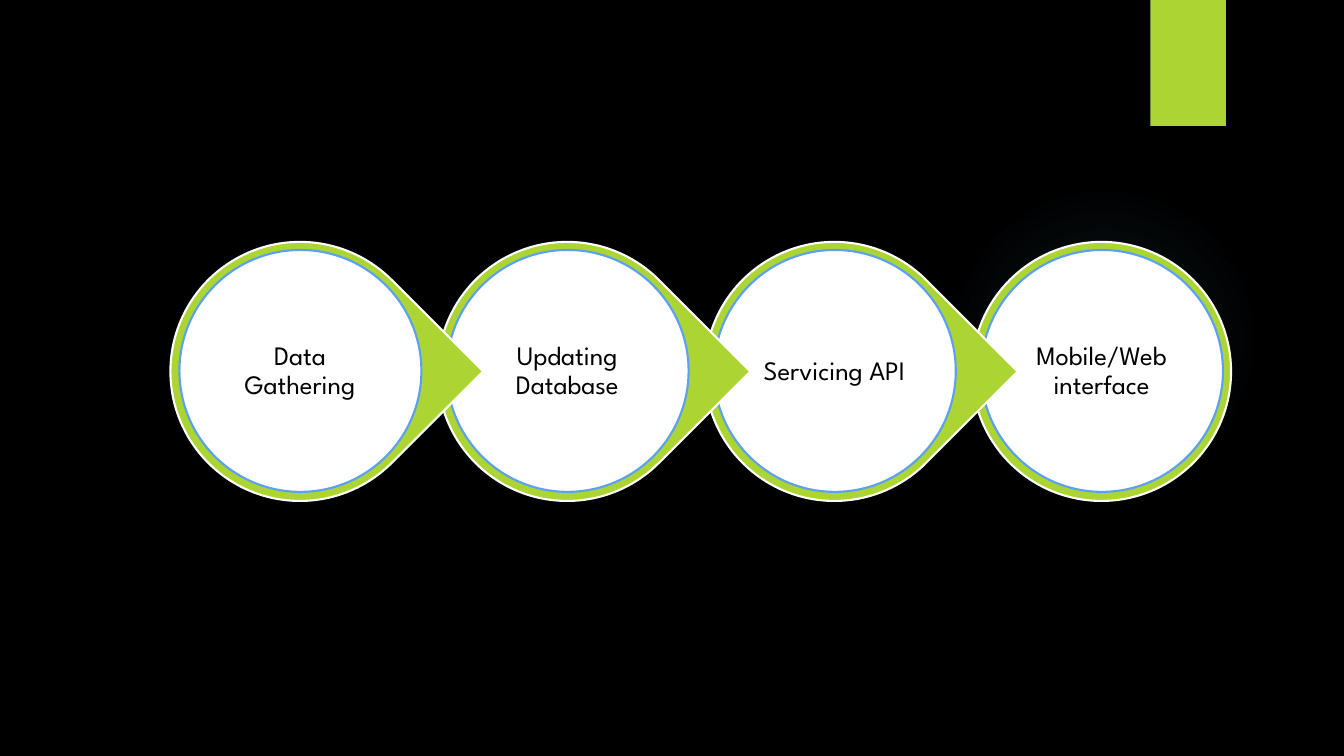
import pptx
import pptx.util
import pptx.dml.color
import pptx.enum.shapes
import pptx.enum.text
import pptx.oxml
from pptx.util import Inches

SHAPES = pptx.enum.shapes.MSO_SHAPE
GREEN, BLUE, WHITE, BLACK = "ACD433", "5AA0F5", "FFFFFF", "000000"


def color(hex_value):
    return pptx.dml.color.RGBColor.from_string(hex_value)


def add_filled(kind, left, top, width, height, fill, line=None):
    shape = slide.shapes.add_shape(
        kind, Inches(left), Inches(top), Inches(width), Inches(height))
    shape.shadow.inherit = False
    shape.fill.solid()
    shape.fill.fore_color.rgb = color(fill)
    if line:
        shape.line.color.rgb = color(line)
        shape.line.width = pptx.util.Pt(1.5)
    else:
        shape.line.fill.background()
    return shape


presentation = pptx.Presentation()
presentation.slide_width = Inches(13.33)
presentation.slide_height = Inches(7.5)
slide = presentation.slides.add_slide(presentation.slide_layouts[6])
slide.background.fill.solid()
slide.background.fill.fore_color.rgb = color(BLACK)

# Faint radial glow behind the last step
glow = add_filled(SHAPES.OVAL, 9.41, 1.83, 3.08, 3.08, BLACK)
stops = "".join(
    f'<a:gs pos="{position}000"><a:srgbClr val="7AC4F0">'
    f'<a:alpha val="{alpha}000"/></a:srgbClr></a:gs>'
    for position, alpha in [(0, 7), (36, 6), (69, 0), (100, 0)])
gradient = pptx.oxml.parse_xml(
    '<a:gradFill xmlns:a="http://schemas.openxmlformats.org/drawingml/2006/main">'
    f'<a:gsLst>{stops}</a:gsLst><a:path path="circle">'
    '<a:fillToRect l="50000" t="50000" r="50000" b="50000"/></a:path></a:gradFill>')
solid_fill = glow.fill._xPr.solidFill if hasattr(glow.fill._xPr, "solidFill") else \
    glow.fill._xPr.find(pptx.oxml.ns.qn("a:solidFill"))
solid_fill.getparent().replace(solid_fill, gradient)

# Green tab at the top edge
add_filled(SHAPES.RECTANGLE, 11.41, 0, 0.75, 1.25, GREEN)

# Process steps, drawn from the last so each tip overlaps the next step
steps = ["Data Gathering", "Updating Database", "Servicing API", "Mobile/Web interface"]
first_left, pitch, top = 1.69, 2.65, 2.4
ring_size, disc_size, label_size = 2.57, 2.4, 1.71

frame_format = {
    "word_wrap": True,
    "vertical_anchor": pptx.enum.text.MSO_ANCHOR.MIDDLE,
    "margin_left": Inches(0.03), "margin_right": Inches(0.03),
    "margin_top": Inches(0.03), "margin_bottom": Inches(0.03),
}
paragraph_format = {"alignment": pptx.enum.text.PP_ALIGN.CENTER, "line_spacing": 0.9}
font_format = {"name": "League Spartan", "size": pptx.util.Pt(19)}

for index, step in reversed(list(enumerate(steps))):
    left = first_left + index * pitch

    # Ring, pointed unless it is the last step
    if index == len(steps) - 1:
        add_filled(SHAPES.OVAL, left, top, ring_size, ring_size, GREEN, WHITE)
    else:
        ring = add_filled(SHAPES.TEAR, left, top, ring_size, ring_size, GREEN, WHITE)
        ring.adjustments[0] = 1
        ring.rotation = 45

    # White disc
    add_filled(SHAPES.OVAL, left + 0.09, top + 0.08, disc_size, disc_size, WHITE, BLUE)

    # Label
    label = slide.shapes.add_textbox(
        Inches(left + 0.43), Inches(top + 0.43), Inches(label_size), Inches(label_size))
    paragraph = label.text_frame.paragraphs[0]
    run = paragraph.add_run()
    run.text = step
    run.font.color.rgb = color(BLACK)
    for target, values in [(label.text_frame, frame_format),
                           (paragraph, paragraph_format),
                           (run.font, font_format)]:
        for name, value in values.items():
            setattr(target, name, value)

presentation.save("out.pptx")
